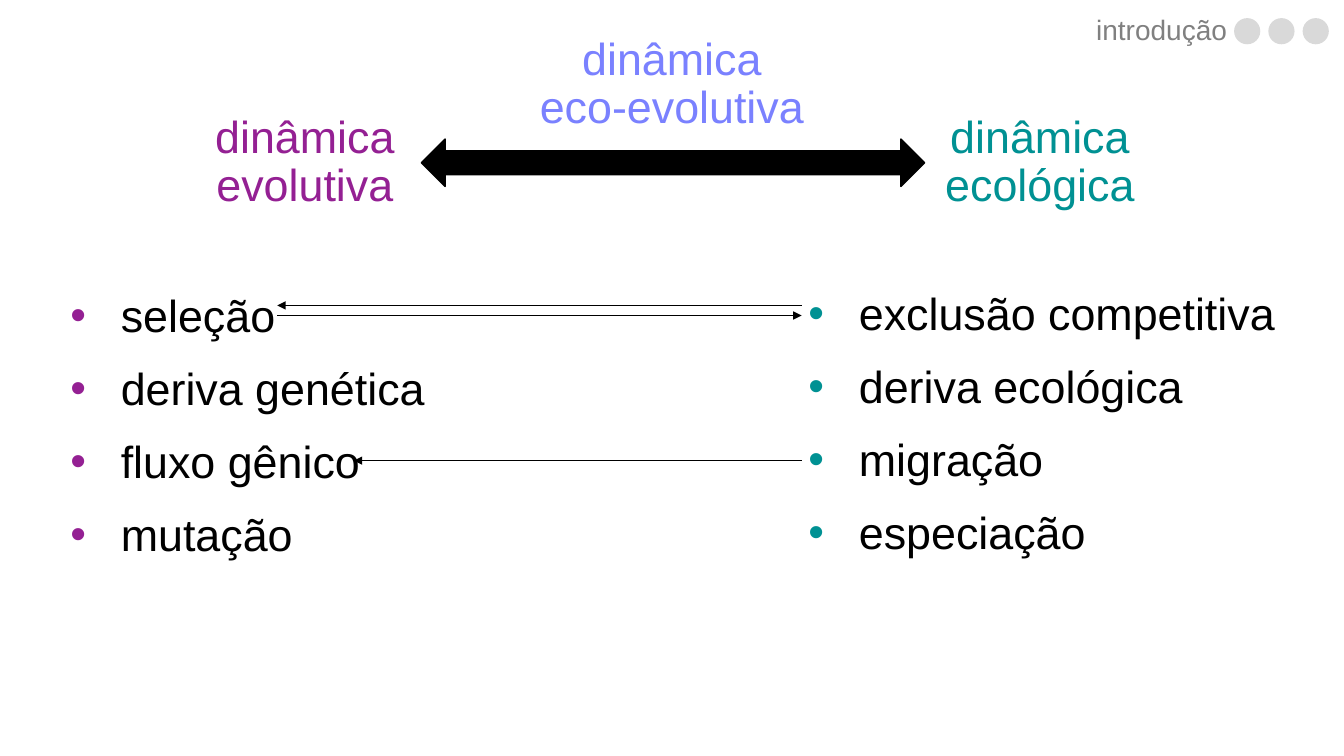
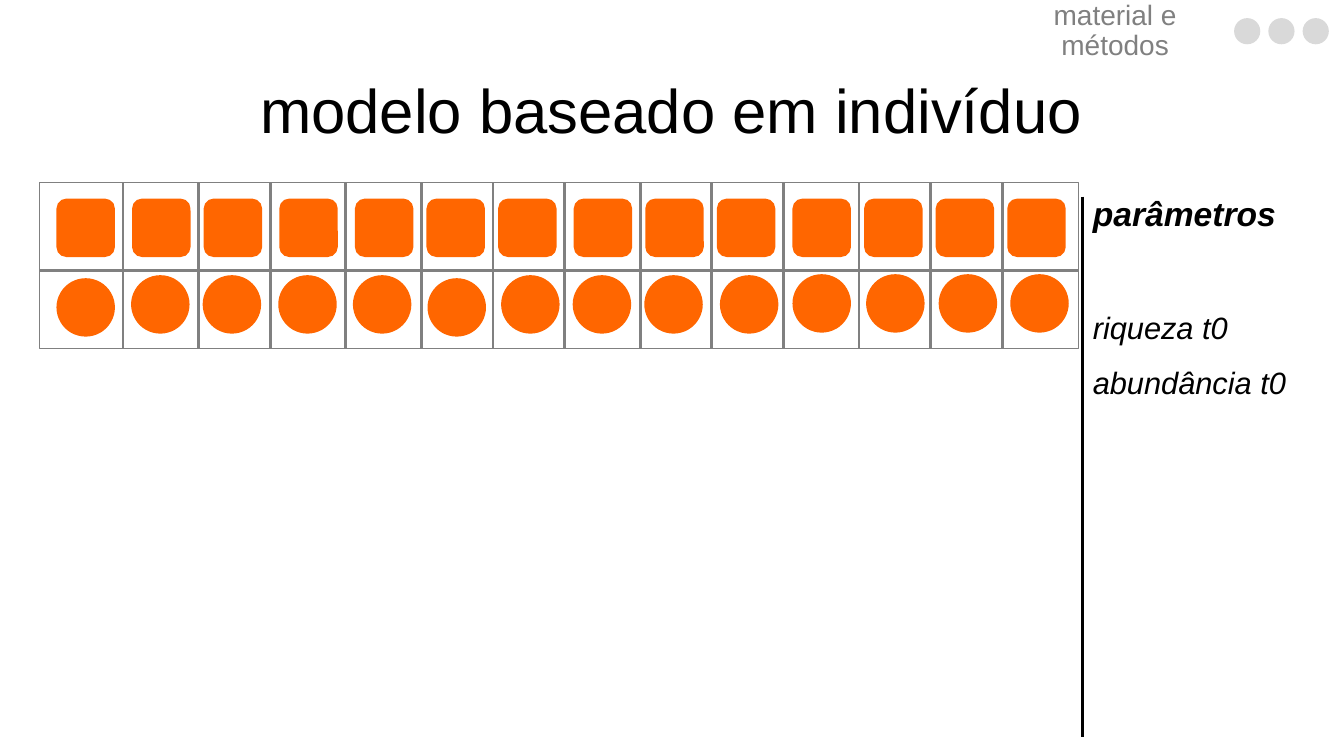
from itertools import accumulate
from lxml.etree import SubElement
from pptx import Presentation
from pptx.dml.color import RGBColor
from pptx.enum.shapes import MSO_CONNECTOR, MSO_SHAPE
from pptx.enum.text import MSO_ANCHOR, MSO_AUTO_SIZE, PP_ALIGN
from pptx.oxml.ns import qn
from pptx.util import Inches, Pt

FONT = "Arial"
BLACK = RGBColor(0x00, 0x00, 0x00)
GRAY = RGBColor(0x80, 0x80, 0x80)
PALE = RGBColor(0xD9, 0xD9, 0xD9)
TEAL = RGBColor(0x00, 0x91, 0x93)
PURPLE = RGBColor(0x94, 0x20, 0x93)
BLUE = RGBColor(0x7A, 0x81, 0xFF)
ORANGE = RGBColor(0xFF, 0x66, 0x00)

WIDE, SLIM = 0.75, 0.71
STEPS = [WIDE if col in (0, 2, 3, 6, 9) else SLIM for col in range(13)]
SHIFTS = (0, -0.01, -0.01, -0.01, -0.02, 0.01, 0.03,
          -0.01, -0.01, 0.03, 0, 0.02, 0.03, 0.03)
DROPS = (0.95,) + (0.92,) * 4 + (0.95,) + (0.92,) * 4 + (0.91,) * 4


def place(item, box):
    """Move an item to a box given in inches."""
    item.left, item.top, item.width, item.height = map(Inches, box)


def add_run(para, text, size, color, bold=False, italic=False):
    """Add one formatted run to a paragraph."""
    run = para.add_run()
    run.text = text
    font = run.font
    font.name, font.size = FONT, Pt(size)
    font.bold, font.italic = bold, italic
    font.color.rgb = color


def set_frame(item, anchor=MSO_ANCHOR.MIDDLE):
    """Wrap the text of an item, anchor it and return its frame."""
    frame = item.text_frame
    frame.word_wrap = True
    frame.auto_size = MSO_AUTO_SIZE.NONE
    frame.vertical_anchor = anchor
    return frame


def add_frame(slide, box, anchor=MSO_ANCHOR.MIDDLE):
    """Add a text box and return its frame."""
    return set_frame(slide.shapes.add_textbox(*map(Inches, box)), anchor)


def fill_text(frame, lines, size, color, align=PP_ALIGN.CENTER):
    """Write tight lines of one style, each as a paragraph."""
    for index, line in enumerate(lines):
        para = frame.add_paragraph() if index else frame.paragraphs[0]
        para.alignment = align
        para.line_spacing = 0.9
        add_run(para, line, size, color)


def add_mark(slide, kind, box, color):
    """Add a plain filled shape with no outline."""
    mark = slide.shapes.add_shape(kind, *map(Inches, box))
    mark.shadow.inherit = False
    mark.fill.solid()
    mark.fill.fore_color.rgb = color
    mark.line.fill.background()
    return mark


def add_line(slide, start, end, color, width, arrow=False):
    """Draw a straight line, with an arrowhead at its end if asked."""
    line = slide.shapes.add_connector(
        MSO_CONNECTOR.STRAIGHT, *map(Inches, start + end))
    line.line.color.rgb = color
    line.line.width = Pt(width)
    if arrow:
        SubElement(line.line._get_or_add_ln(), qn("a:tailEnd"), type="triangle")
    SubElement(line._element.spPr, qn("a:effectLst"))


def add_head(slide, text, align):
    """Add the section label and its three dots at the top right."""
    frame = add_frame(slide, (9.85, 0.08, 2.42, 0.47))
    fill_text(frame, [text], 20, GRAY, align)
    for index in range(3):
        box = (12.24 + index * 0.34, 0.18, 0.26, 0.26)
        add_mark(slide, MSO_SHAPE.OVAL, box, PALE)


def add_list(slide, box, items, color):
    """Add a list with coloured bullets."""
    frame = add_frame(slide, box, MSO_ANCHOR.TOP)
    for index, item in enumerate(items):
        para = frame.add_paragraph() if index else frame.paragraphs[0]
        para.line_spacing = 1.2
        para.space_after = Pt(6)
        props = para._p.get_or_add_pPr()
        props.set("marL", str(Inches(0.5)))
        props.set("indent", str(Inches(-0.5)))
        tint = SubElement(props, qn("a:buClr"))
        SubElement(tint, qn("a:srgbClr"), val=str(color))
        SubElement(props, qn("a:buFont"), typeface=FONT)
        SubElement(props, qn("a:buChar"), char="•")
        add_run(para, item, 32, BLACK)


def add_grid(slide, box):
    """Draw a two-row grid with a square and a circle in each column."""
    left, top, width, height = box
    size = 0.58
    spots = list(accumulate(STEPS, initial=left + 0.17))
    for spot, shift, drop in zip(spots, SHIFTS, DROPS):
        square = add_mark(slide, MSO_SHAPE.ROUNDED_RECTANGLE,
                          (spot, top + 0.16, size, size), ORANGE)
        square.adjustments[0] = 0.17
        add_mark(slide, MSO_SHAPE.OVAL,
                 (spot + shift, top + drop, size, size), ORANGE)
    frame = slide.shapes.add_shape(MSO_SHAPE.RECTANGLE, *map(Inches, box))
    frame.shadow.inherit = False
    frame.fill.background()
    frame.line.color.rgb = GRAY
    frame.line.width = Pt(0)
    for edge in accumulate(STEPS[:-1], initial=left + 0.83):
        add_line(slide, (edge, top), (edge, top + height), GRAY, 0)
    row = top + 0.87
    add_line(slide, (left, row), (left + width, row), GRAY, 0)


def add_panel(slide, box):
    """Add the parameter list and the rule on its left."""
    left, top = box[:2]
    frame = add_frame(slide, box, MSO_ANCHOR.TOP)
    rows = (("parâmetros", 24, True, 0),
            ("riqueza t0", 22, False, 41),
            ("abundância t0", 22, False, 0))
    for index, (text, size, bold, gap) in enumerate(rows):
        para = frame.add_paragraph() if index else frame.paragraphs[0]
        para.line_spacing = 1.5
        if gap:
            para.space_before = Pt(gap)
        add_run(para, text, size, BLACK, bold, True)
    add_line(slide, (left, top + 0.29), (left, top + 5.65), BLACK, 2.25)


def build_intro(deck):
    """Build the slide that pairs evolution with ecology."""
    slide = deck.slides.add_slide(deck.slide_layouts[6])
    add_head(slide, "introdução", PP_ALIGN.RIGHT)
    heads = (((8.7, 0.89, 3.23, 1.45), ["dinâmica ecológica"], TEAL),
             ((1.41, 0.89, 3.23, 1.45), ["dinâmica evolutiva"], PURPLE),
             ((4.93, 0.02, 3.47, 1.65), ["dinâmica", "eco-evolutiva"], BLUE))
    for box, lines, color in heads:
        fill_text(add_frame(slide, box), lines, 32, color)
    add_list(slide, (0.6, 2.7, 4.86, 3.74),
             ("seleção", "deriva genética", "fluxo gênico", "mutação"), PURPLE)
    add_list(slide, (7.92, 2.68, 4.91, 3.74),
             ("exclusão competitiva", "deriva ecológica", "migração",
              "especiação"), TEAL)
    arrow = add_mark(slide, MSO_SHAPE.LEFT_RIGHT_ARROW,
                     (4.18, 1.38, 4.99, 0.47), BLACK)
    arrow.line.color.rgb = BLACK
    arrow.line.width = Pt(1)
    for start, end, top in ((7.95, 2.75, 3.03), (2.75, 7.95, 3.13),
                            (7.95, 3.51, 4.57)):
        add_line(slide, (start, top), (end, top), BLACK, 0.5, True)


def build_model(deck):
    """Build the slide on the individual-based model."""
    slide = deck.slides.add_slide(deck.slide_layouts[5])
    add_grid(slide, (0.39, 1.81, 10.31, 1.65))
    title = slide.shapes.title
    place(title, (0.56, 0.4, 12.2, 1.45))
    fill_text(set_frame(title), ["modelo baseado em indivíduo"], 44, BLACK)
    add_panel(slide, (10.74, 1.66, 2.59, 2.98))
    add_head(slide, "material e métodos", PP_ALIGN.CENTER)


def main():
    """Build and save the deck."""
    deck = Presentation()
    deck.slide_width, deck.slide_height = Inches(13.33), Inches(7.5)
    build_intro(deck)
    build_model(deck)
    deck.save("out.pptx")


if __name__ == "__main__":
    main()
